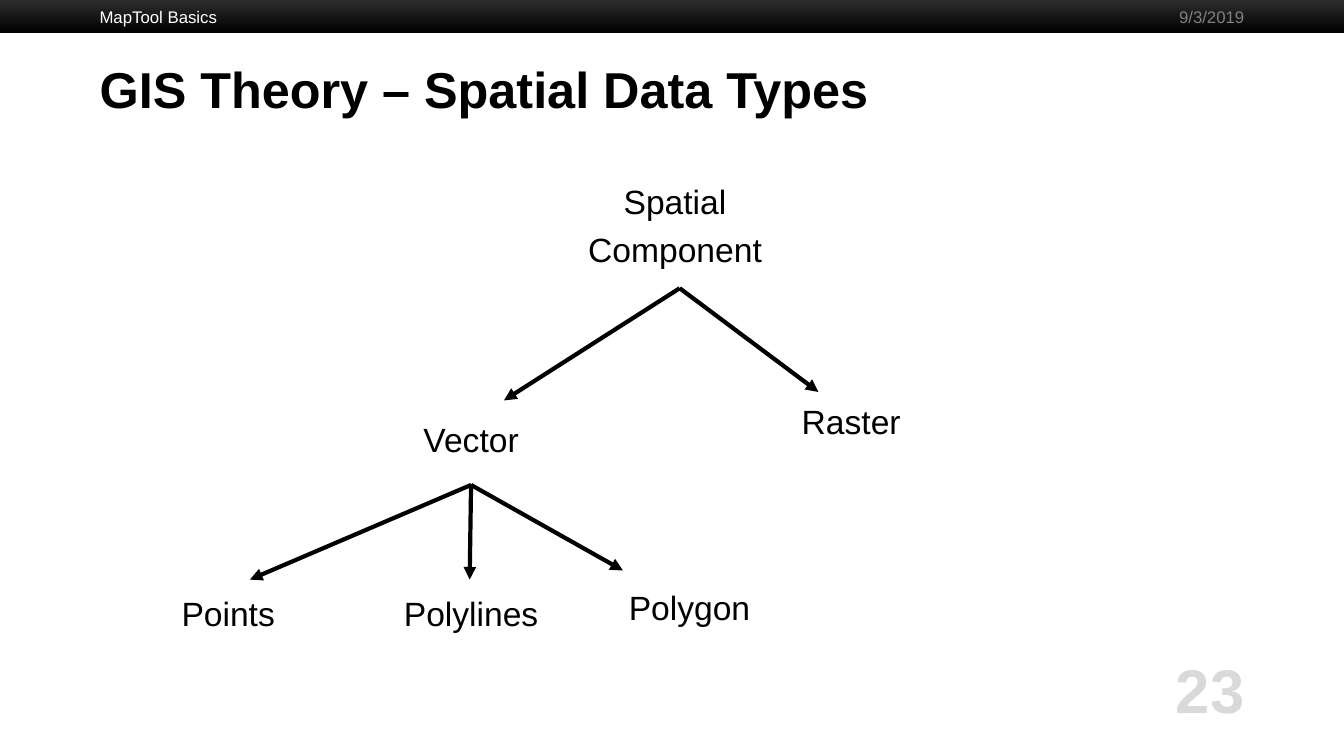
from pptx import Presentation
from pptx.dml.color import RGBColor
from pptx.enum.shapes import MSO_CONNECTOR as Connector, MSO_SHAPE as Shape
from pptx.enum.text import MSO_ANCHOR as Anchor, MSO_AUTO_SIZE as AutoSize, PP_ALIGN as Align
from pptx.oxml.ns import qn
from pptx.util import Pt
from lxml.etree import SubElement


def color(hex_string):
    return RGBColor.from_string(hex_string)


def write(box, place, text, size=24, ink="000000", bold=False,
          align=Align.CENTER, anchor=Anchor.TOP, wrap=True, inset=3.6):
    box.left, box.top, box.width, box.height = [Pt(value) for value in place]
    frame = box.text_frame
    frame.auto_size = AutoSize.NONE
    frame.word_wrap = wrap
    frame.vertical_anchor = anchor
    frame.margin_left = frame.margin_right = Pt(7.2)
    frame.margin_top = frame.margin_bottom = Pt(inset)
    for index, line in enumerate(text.split("\n")):
        para = frame.add_paragraph() if index else frame.paragraphs[0]
        properties = para._p.get_or_add_pPr()
        properties.set("marL", "0")
        properties.set("indent", "0")
        SubElement(properties, qn("a:buNone"))
        para.alignment = align
        para.space_before = Pt(6 if index else 0)
        span = para.add_run()
        span.text = line
        span.font.name = "Arial"
        span.font.size = Pt(size)
        span.font.bold = bold
        span.font.color.rgb = color(ink)
    return box


deck = Presentation()
deck.slide_width, deck.slide_height = Pt(960), Pt(540)
page = deck.slides.add_slide(deck.slide_layouts[1])
shapes = page.shapes
title, root = page.placeholders

# Header bar
bar = shapes.add_shape(Shape.RECTANGLE, 0, Pt(-3.6), Pt(960), Pt(27.4))
bar.shadow.inherit = False
bar.line.fill.background()
bar.fill.gradient()
bar.fill.gradient_angle = 270
for stop, shade, position in zip(bar.fill.gradient_stops, ("333333", "000000"), (0, 1)):
    stop.color.rgb = color(shade)
    stop.position = position

# Title, header texts and page number
write(title, (64, 36, 832, 54), "GIS Theory – Spatial Data Types",
      size=36, bold=True, align=Align.LEFT, anchor=Anchor.MIDDLE)
furniture = [
    ((64, 0, 536, 23.8), "MapTool Basics",
     dict(size=12, ink="FFFFFF", align=Align.LEFT)),
    ((744, 465, 152, 54), "23",
     dict(size=44, ink="D9D9D9", bold=True, align=Align.RIGHT, wrap=False, inset=0)),
    ((696, 0, 200, 23.8), "9/3/2019",
     dict(size=12, ink="808080", align=Align.RIGHT)),
]
for place, text, look in furniture:
    write(shapes.add_textbox(0, 0, 0, 0), place, text, anchor=Anchor.MIDDLE, **look)

# Tree: parent, label, label corner, arrow tip
nodes = {"Spatial": write(root, (407.5, 125.3, 156, 80.6), "Spatial \nComponent ")}
branches = [
    ("Spatial", "Vector", (258.5, 296), (360, 286)),
    ("Spatial", "Raster", (530, 283), (584.6, 280)),
    ("Vector", "Points", (85, 420), (178.5, 414)),
    ("Vector", "Polylines", (258.5, 420), (335.5, 414)),
    ("Vector", "Polygon", (414.5, 415.5), (445, 407.5)),
]
for parent, label, corner, tip in branches:
    tip_x, tip_y = [Pt(value) for value in tip]
    arrow = shapes.add_connector(Connector.STRAIGHT, tip_x, tip_y, tip_x, tip_y)
    arrow.begin_connect(nodes[parent], 2)
    arrow.line.color.rgb = color("000000")
    arrow.line.width = Pt(3)
    SubElement(arrow.line._get_or_add_ln(), qn("a:tailEnd"), type="triangle")
    SubElement(arrow._element.spPr, qn("a:effectLst"))
    nodes[label] = write(shapes.add_textbox(0, 0, 0, 0), (*corner, 156, 50.4), label)

deck.save("out.pptx")
